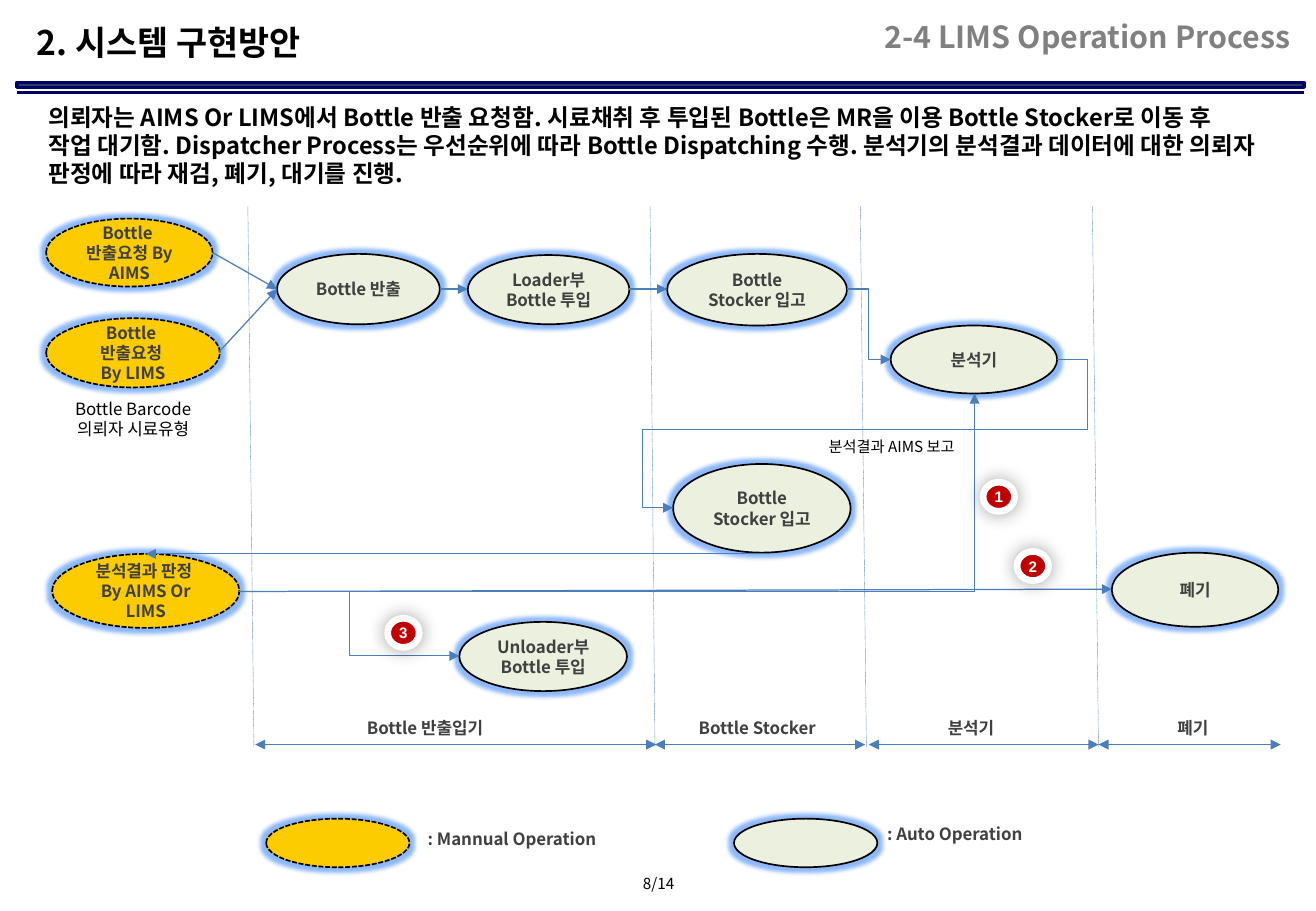
from dataclasses import dataclass
from lxml.etree import SubElement
from pptx import Presentation
from pptx.dml.color import RGBColor as RGB
from pptx.enum.dml import MSO_LINE as Dash
from pptx.enum.shapes import MSO_CONNECTOR as Route, MSO_SHAPE as Form
from pptx.enum.text import MSO_ANCHOR as Anchor, MSO_AUTO_SIZE as Fit, PP_ALIGN as Align
from pptx.oxml.ns import qn
from pptx.util import Inches, Pt


@dataclass(frozen=True)
class Theme:
    font: str = "Noto Sans CJK KR"
    badge_font: str = "Arial"
    black: RGB = RGB.from_string("000000")
    white: RGB = RGB.from_string("FFFFFF")
    grey: RGB = RGB.from_string("808080")
    dark: RGB = RGB.from_string("404040")
    bar: RGB = RGB.from_string("254061")
    navy: RGB = RGB.from_string("000066")
    manual: RGB = RGB.from_string("FCCC00")
    auto: RGB = RGB.from_string("EBF1DE")
    flow: RGB = RGB.from_string("4B7EBC")
    red: RGB = RGB.from_string("C00000")
    glow: str = "8DB9FA"
    title: int = 20
    section: int = 18
    summary: int = 14
    body: int = 10
    small: int = 9


theme = Theme()
prs = Presentation()
prs.slide_width, prs.slide_height = Inches(10.83), Inches(7.5)
slide = prs.slides.add_slide(prs.slide_layouts[5])
shapes = slide.shapes


def write(shape, text, size=theme.body, color=theme.dark, bold=True, align=Align.CENTER,
          anchor=Anchor.MIDDLE, inset=0, spacing=None, face=theme.font):
    frame = shape.text_frame
    frame.text = text
    frame.word_wrap = True
    frame.auto_size = Fit.NONE
    frame.vertical_anchor = anchor
    frame.margin_left = frame.margin_right = Inches(inset)
    frame.margin_top = frame.margin_bottom = Inches(inset / 2)
    for paragraph in frame.paragraphs:
        paragraph.alignment = align
        paragraph.line_spacing = spacing
        font = paragraph.font
        font.name, font.size, font.bold = face, Pt(size), bold
        font.color.rgb = color
        defaults = paragraph._p.pPr.find(qn("a:defRPr"))
        SubElement(defaults, qn("a:ea"), typeface=face)


def link(start, end, prst="line", bends=(), ends=("tailEnd",), width=0.75,
         color=theme.flow, dash=None):
    route = Route.STRAIGHT if prst == "line" else Route.ELBOW
    connector = shapes.add_connector(route, *map(Inches, start + end))
    connector.line.color.rgb = color
    connector.line.width = Pt(width)
    if dash:
        connector.line.dash_style = dash
    properties = connector._element.spPr
    geometry = properties.find(qn("a:prstGeom"))
    geometry.set("prst", prst)
    for number, bend in enumerate(bends, 1):
        name = "adj" if prst == "bentConnector2" else f"adj{number}"
        SubElement(geometry.find(qn("a:avLst")), qn("a:gd"), name=name,
                   fmla=f"val {round(bend * 100000)}")
    for tip in ends:
        SubElement(properties.find(qn("a:ln")), qn(f"a:{tip}"), type="triangle")
    SubElement(properties, qn("a:effectLst"))


header_bar = shapes.add_shape(Form.RECTANGLE, *map(Inches, (0.14, 0.68, 10.59, 0.04)))
header_bar.shadow.inherit = False
header_bar.fill.solid()
header_bar.fill.fore_color.rgb = theme.bar
header_bar.line.color.rgb = theme.navy
header_bar.line.width = Pt(2)
link((0.14, 0.76), (10.73, 0.76), ends=(), width=1.5, color=theme.navy)

title = shapes.title
title.left, title.top, title.width, title.height = map(Inches, (0.3, 0.22, 9.92, 0.54))
write(title, "2. 시스템 구현방안", theme.title, theme.black, align=Align.LEFT,
      anchor=Anchor.TOP, spacing=0.9)

section = shapes.add_textbox(*map(Inches, (6.52, 0.05, 4.1, 0.54)))
write(section, "2-4 LIMS Operation Process", theme.section, theme.grey,
      align=Align.RIGHT, spacing=0.9)

summary = shapes.add_textbox(*map(Inches, (0.3, 0.84, 10.16, 0.71)))
write(summary, "의뢰자는 AIMS Or LIMS에서 Bottle 반출 요청함. 시료채취 후 투입된 Bottle은 MR을 이용 "
      "Bottle Stocker로 이동 후 작업 대기함. Dispatcher Process는 우선순위에 따라 Bottle Dispatching "
      "수행. 분석기의 분석결과 데이터에 대한 의뢰자 판정에 따라 재검, 폐기, 대기를 진행.",
      theme.summary, theme.black, align=Align.LEFT, inset=0.1)

manual_steps = [
    ((0.38, 1.8, 1.37, 0.56), "Bottle \n반출요청 By AIMS"),
    ((0.38, 2.62, 1.43, 0.57), "Bottle \n반출요청 \nBy LIMS"),
    ((0.43, 4.56, 1.54, 0.61), "분석결과 판정 \nBy AIMS Or LIMS"),
    ((2.19, 6.74, 1.18, 0.4), ""),
]
auto_steps = [
    ((2.28, 2.09, 1.34, 0.58), "Bottle 반출"),
    ((3.85, 2.1, 1.33, 0.57), "Loader부 Bottle 투입"),
    ((5.49, 2.09, 1.48, 0.59), "Bottle Stocker 입고"),
    ((7.33, 2.68, 1.37, 0.56), "분석기"),
    ((5.54, 3.82, 1.46, 0.73), "Bottle Stocker 입고"),
    ((9.15, 4.55, 1.37, 0.61), "폐기"),
    ((3.78, 5.12, 1.38, 0.57), "Unloader부 Bottle 투입"),
    ((6.04, 6.74, 1.18, 0.4), ""),
]
for steps, fill, dash in ((manual_steps, theme.manual, Dash.SQUARE_DOT),
                          (auto_steps, theme.auto, Dash.SOLID)):
    for box, text in steps:
        step = shapes.add_shape(Form.OVAL, *map(Inches, box))
        step.fill.solid()
        step.fill.fore_color.rgb = fill
        step.line.color.rgb = theme.black
        step.line.width = Pt(1)
        step.line.dash_style = dash
        step.shadow.inherit = False
        effects = step._element.spPr.find(qn("a:effectLst"))
        glow = SubElement(effects, qn("a:glow"), rad=str(Pt(5)))
        SubElement(glow, qn("a:srgbClr"), val=theme.glow)
        if text:
            write(step, text, inset=0.1)

for start, end in (
    ((1.75, 2.08), (2.28, 2.38)),
    ((1.8, 2.9), (2.28, 2.38)),
    ((3.62, 2.38), (3.85, 2.38)),
    ((5.18, 2.38), (5.49, 2.38)),
    ((1.97, 4.87), (9.15, 4.85)),
    ((6.27, 4.56), (1.2, 4.56)),
):
    link(start, end)
link((6.97, 2.38), (7.33, 2.96), "bentConnector3", (0.5,))
link((1.97, 4.87), (3.78, 5.4), "bentConnector3", (0.5,))
link((8.7, 2.96), (5.54, 4.18), "bentConnector5", (-0.08, 0.47, 1.08))
link((1.97, 4.87), (8.02, 3.24), "bentConnector2")

for top, bottom in ((2.04, 2.09), (5.35, 5.39), (7.08, 7.13), (8.99, 9.04)):
    link((top, 1.7), (bottom, 6.15), ends=(), width=0.25, dash=Dash.ROUND_DOT)

for left, right, label_left, text in (
    (2.1, 5.4, 3.02, "Bottle 반출입기"),
    (5.39, 7.12, 5.75, "Bottle Stocker"),
    (7.15, 9.04, 7.8, "분석기"),
    (9.04, 10.54, 9.69, "폐기"),
):
    link((left, 6.13), (right, 6.13), ends=("headEnd", "tailEnd"))
    zone = shapes.add_textbox(*map(Inches, (label_left, 5.91, 1, 0.19)))
    write(zone, text, align=Align.LEFT, anchor=Anchor.TOP)

for box, text in (((3.52, 6.82, 1.43, 0.33), ": Mannual Operation"),
                  ((7.3, 6.78, 1.74, 0.28), ": Auto Operation")):
    legend = shapes.add_textbox(*map(Inches, box))
    write(legend, text, align=Align.LEFT, anchor=Anchor.TOP)

for box, text, size, align, inset in (
    ((0.49, 3.28, 1.21, 0.45), "Bottle Barcode\n의뢰자 시료유형", theme.body, Align.CENTER, 0),
    ((6.82, 3.6, 1.19, 0.15), "분석결과 AIMS 보고", theme.small, Align.LEFT, 0),
    ((4.87, 7.15, 1.1, 0.25), "8/14", theme.small, Align.CENTER, 0.1),
):
    note = shapes.add_textbox(*map(Inches, box))
    write(note, text, size, theme.black, False, align, Anchor.TOP, inset)

for number, (left, top) in enumerate(((8.09, 3.97), (8.37, 4.54), (3.19, 5.09)), 1):
    badge = shapes.add_shape(Form.OVAL, *map(Inches, (left, top, 0.26, 0.24)))
    badge.fill.solid()
    badge.fill.fore_color.rgb = theme.red
    badge.line.color.rgb = theme.white
    badge.line.width = Pt(4)
    badge.shadow.inherit = False
    effects = badge._element.spPr.find(qn("a:effectLst"))
    shadow = SubElement(effects, qn("a:outerShdw"), blurRad=str(Pt(11)), dist="0", dir="0")
    shade = SubElement(shadow, qn("a:srgbClr"), val=str(theme.black))
    SubElement(shade, qn("a:alpha"), val="36000")
    write(badge, str(number), theme.small, theme.white, face=theme.badge_font)

prs.save("out.pptx")
